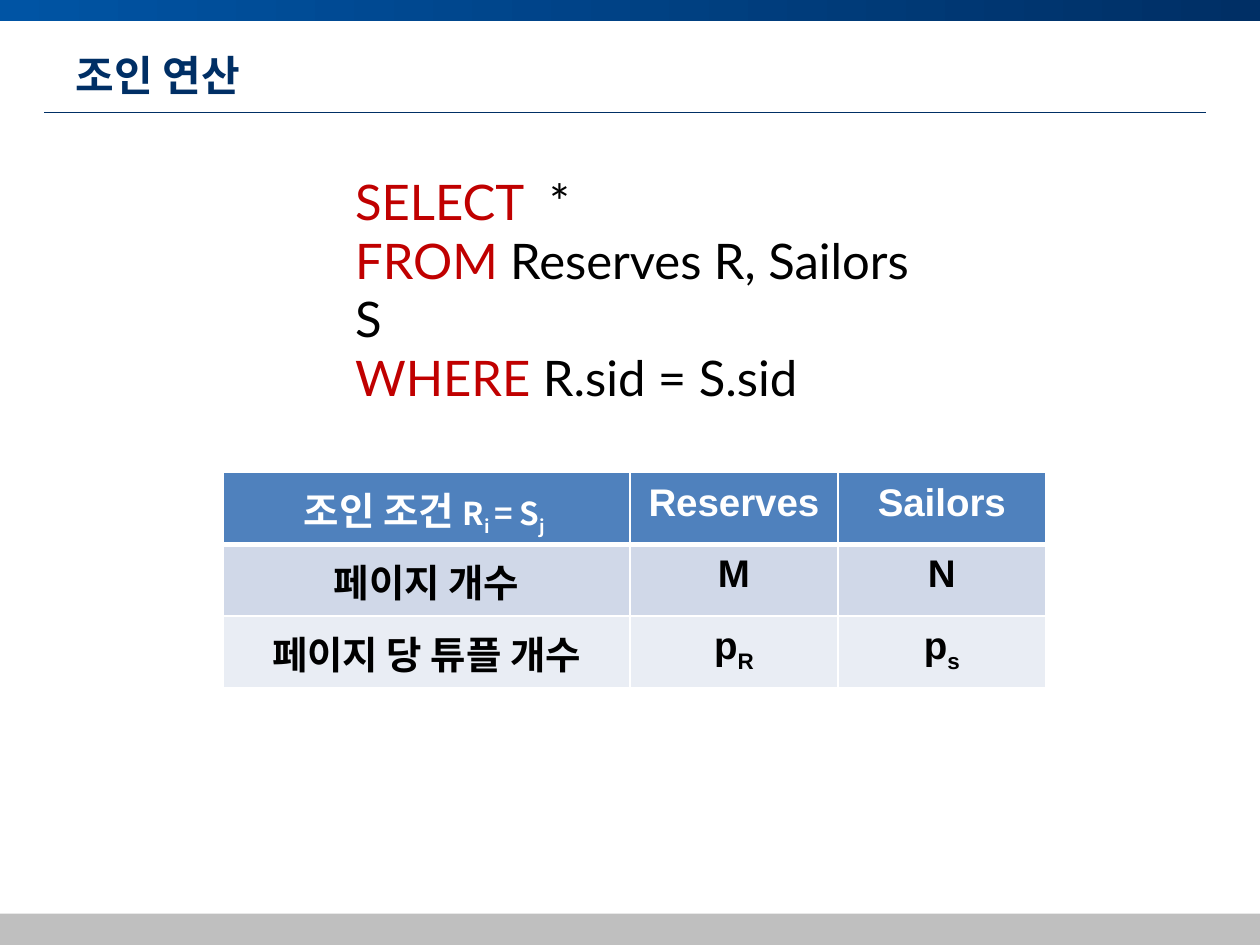
from dataclasses import dataclass

from lxml import etree
from pptx import Presentation
from pptx import util as u
from pptx.dml.color import RGBColor
from pptx.enum import shapes, text
from pptx.oxml import ns


@dataclass(frozen=True)
class Theme:
    """Colours, fonts and type sizes of the slide."""
    navy: str = "002F65"
    blue: str = "0054A4"
    grey: str = "BFBFBF"
    red: str = "C00000"
    black: str = "000000"
    white: str = "FFFFFF"
    row_fills: tuple = ("4F81BD", "D0D8E8", "E9EDF4")
    korean: str = "Noto Sans CJK KR"
    query: str = "Lato"
    table: str = "Arial"
    title_size: int = 24
    query_size: int = 28
    table_size: int = 22
    formula_size: int = 18


THEME = Theme()


def set_values(target, values):
    """Set attributes of an object from a dict."""
    for name, value in values.items():
        setattr(target, name, value)


def add_run(paragraph, content, font, size, color, bold=False, baseline=None):
    """Add one formatted run to a paragraph."""
    run = paragraph.add_run()
    run.text = content
    set_values(run.font, {"name": font, "size": u.Pt(size), "bold": bold})
    run.font.color.rgb = RGBColor.from_string(color)
    properties = run.font._element
    etree.SubElement(properties, ns.qn("a:ea"), typeface=THEME.korean)
    if baseline:
        properties.set("baseline", str(baseline * 1000))


def add_band(slide, top, height, colors):
    """Add a full-width band, plain or with a horizontal gradient."""
    band = slide.shapes.add_shape(
        shapes.MSO_SHAPE.RECTANGLE, 0, u.Inches(top), u.Inches(10), u.Inches(height))
    band.shadow.inherit = False
    band.line.fill.background()
    if len(colors) == 1:
        band.fill.solid()
        band.fill.fore_color.rgb = RGBColor.from_string(colors[0])
        return
    band.fill.gradient()
    band.fill.gradient_angle = 0
    for stop, color, position in zip(band.fill.gradient_stops, colors, (0, 1)):
        stop.color.rgb = RGBColor.from_string(color)
        stop.position = position


def add_rule(slide, left, right, top):
    """Add the thin line under the title."""
    rule = slide.shapes.add_connector(
        shapes.MSO_CONNECTOR.STRAIGHT,
        u.Inches(left), u.Inches(top), u.Inches(right), u.Inches(top))
    rule.line.width = u.Pt(0.5)
    rule.line.color.rgb = RGBColor.from_string(THEME.navy)
    etree.SubElement(rule._element.spPr, ns.qn("a:effectLst"))


def set_title(slide, content):
    """Place and fill the title placeholder."""
    title = slide.shapes.title
    set_values(title, {"left": u.Inches(0.5), "top": u.Inches(0.3),
                       "width": u.Inches(9), "height": u.Inches(0.58)})
    title.text_frame.vertical_anchor = text.MSO_ANCHOR.MIDDLE
    paragraph = title.text_frame.paragraphs[0]
    paragraph.alignment = text.PP_ALIGN.LEFT
    add_run(paragraph, content, THEME.korean, THEME.title_size, THEME.navy, True)


def add_query(slide, clauses):
    """Add the SQL query with its keywords in red."""
    box = slide.shapes.add_textbox(
        u.Inches(2.72), u.Inches(1.31), u.Inches(4.85), u.Inches(1.51))
    frame = box.text_frame
    frame.word_wrap = True
    for index, (keyword, rest) in enumerate(clauses):
        paragraph = frame.add_paragraph() if index else frame.paragraphs[0]
        add_run(paragraph, keyword, THEME.query, THEME.query_size, THEME.red)
        add_run(paragraph, rest, THEME.query, THEME.query_size, THEME.black)


def set_borders(cell, bottom_width, top_width):
    """Draw white borders around a table cell."""
    properties = cell._tc.get_or_add_tcPr()
    widths = {"a:lnL": 1, "a:lnR": 1, "a:lnT": top_width, "a:lnB": bottom_width}
    for index, (tag, width) in enumerate(widths.items()):
        line = etree.Element(ns.qn(tag), w=str(u.Pt(width)))
        fill = etree.SubElement(line, ns.qn("a:solidFill"))
        etree.SubElement(fill, ns.qn("a:srgbClr"), val=THEME.white)
        properties.insert(index, line)


def fill_cell(cell, runs, row):
    """Format one table cell and write its runs."""
    set_values(cell, {"margin_left": u.Inches(0.14), "margin_right": u.Inches(0.14),
                      "margin_top": u.Inches(0.07), "margin_bottom": u.Inches(0.07)})
    cell.fill.solid()
    cell.fill.fore_color.rgb = RGBColor.from_string(THEME.row_fills[row])
    set_borders(cell, 1 if row else 3, 3 if row == 1 else 1)
    paragraph = cell.text_frame.paragraphs[0]
    paragraph.alignment = text.PP_ALIGN.CENTER
    color = THEME.black if row else THEME.white
    for content, font, size, baseline in runs:
        add_run(paragraph, content, font, size, color, True, baseline)


def add_join_table(slide, rows):
    """Add the table of page and tuple counts."""
    widths = (3.23, 1.65, 1.65)
    height = 0.57
    table = slide.shapes.add_table(
        len(rows), len(widths), u.Inches(1.77), u.Inches(3.75),
        u.Inches(sum(widths)), u.Inches(height * len(rows))).table
    for column, width in zip(table.columns, widths):
        column.width = u.Inches(width)
    for row, cells in enumerate(rows):
        table.rows[row].height = u.Inches(height)
        for column, runs in enumerate(cells):
            fill_cell(table.cell(row, column), runs, row)


def label(content, subscript=""):
    """Return the runs of a table label with an optional subscript."""
    runs = [(content, THEME.table, THEME.table_size, None)]
    if subscript:
        runs.append((subscript, THEME.table, THEME.table_size, -25))
    return runs


def formula(*parts):
    """Return the runs of a formula from text and baseline pairs."""
    return [(content, THEME.korean, THEME.formula_size, baseline)
            for content, baseline in parts]


def main():
    """Build and save the slide."""
    presentation = Presentation()
    set_values(presentation, {"slide_width": u.Inches(10), "slide_height": u.Inches(7.5)})
    slide = presentation.slides.add_slide(presentation.slide_layouts[5])
    add_band(slide, 0, 0.17, (THEME.blue, THEME.navy))
    add_band(slide, 7.25, 0.25, (THEME.grey,))
    add_rule(slide, 0.35, 9.57, 0.89)
    set_title(slide, "조인 연산")
    add_query(slide, [("SELECT", "  *"),
                      ("FROM", " Reserves R, Sailors S"),
                      ("WHERE", " R.sid = S.sid")])
    condition = label("조인 조건 ") + formula(
        ("R", None), ("i ", -25), ("= S", None), ("j ", -25))
    add_join_table(slide, [
        (condition, label("Reserves"), label("Sailors")),
        (label("페이지 개수"), label("M"), label("N")),
        (label("페이지 당 튜플 개수"), label("p", "R"), label("p", "s")),
    ])
    presentation.save("out.pptx")


if __name__ == "__main__":
    main()
